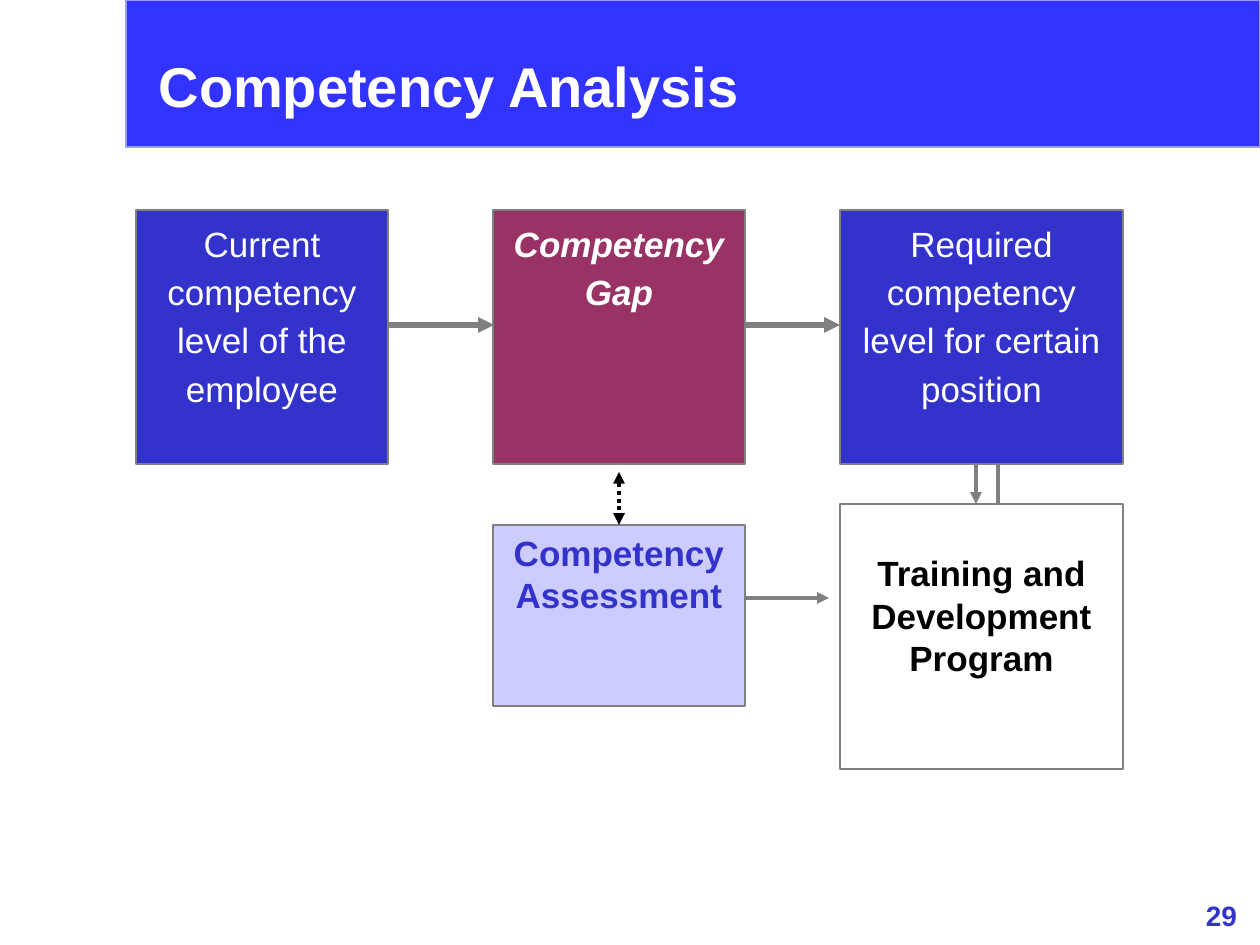
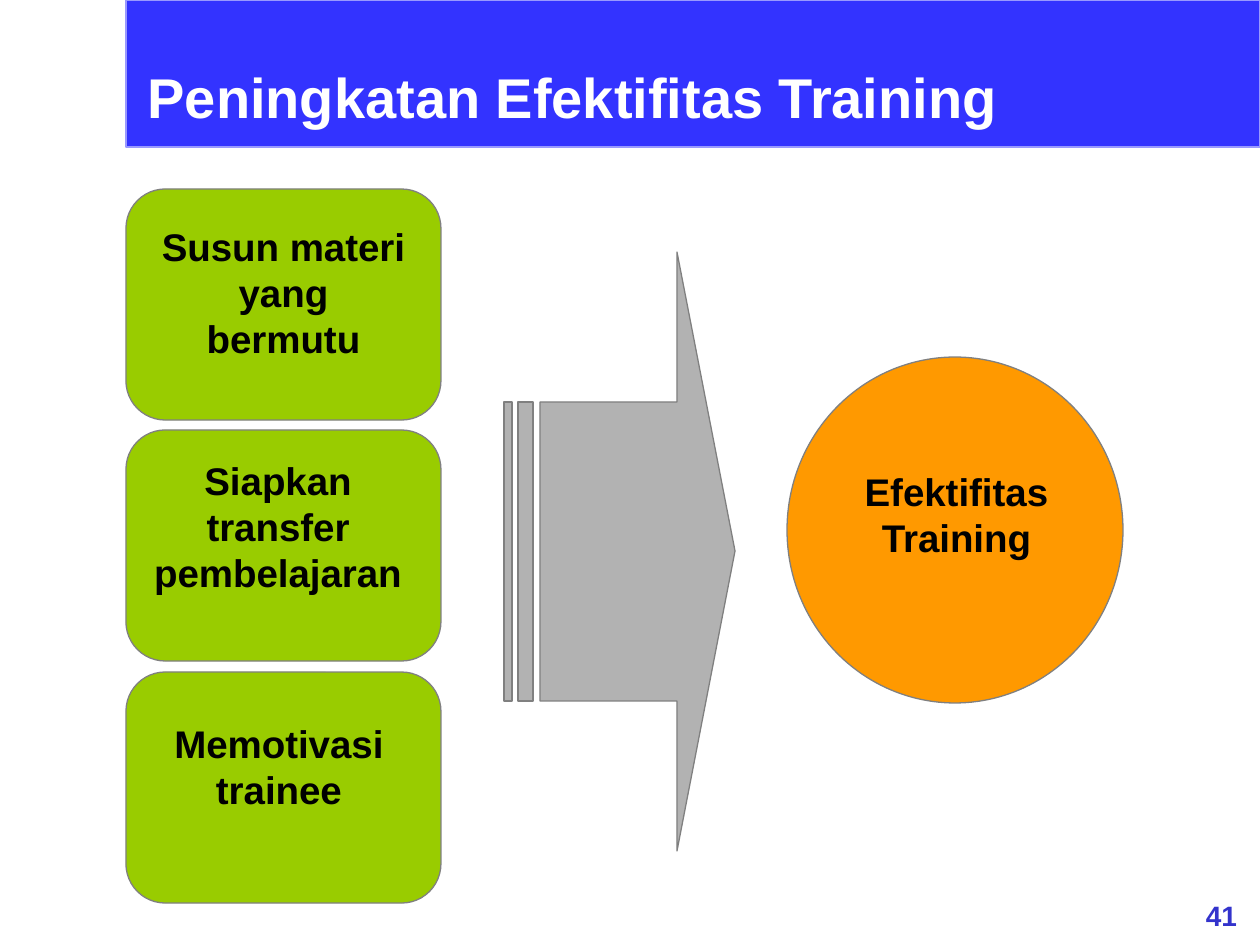
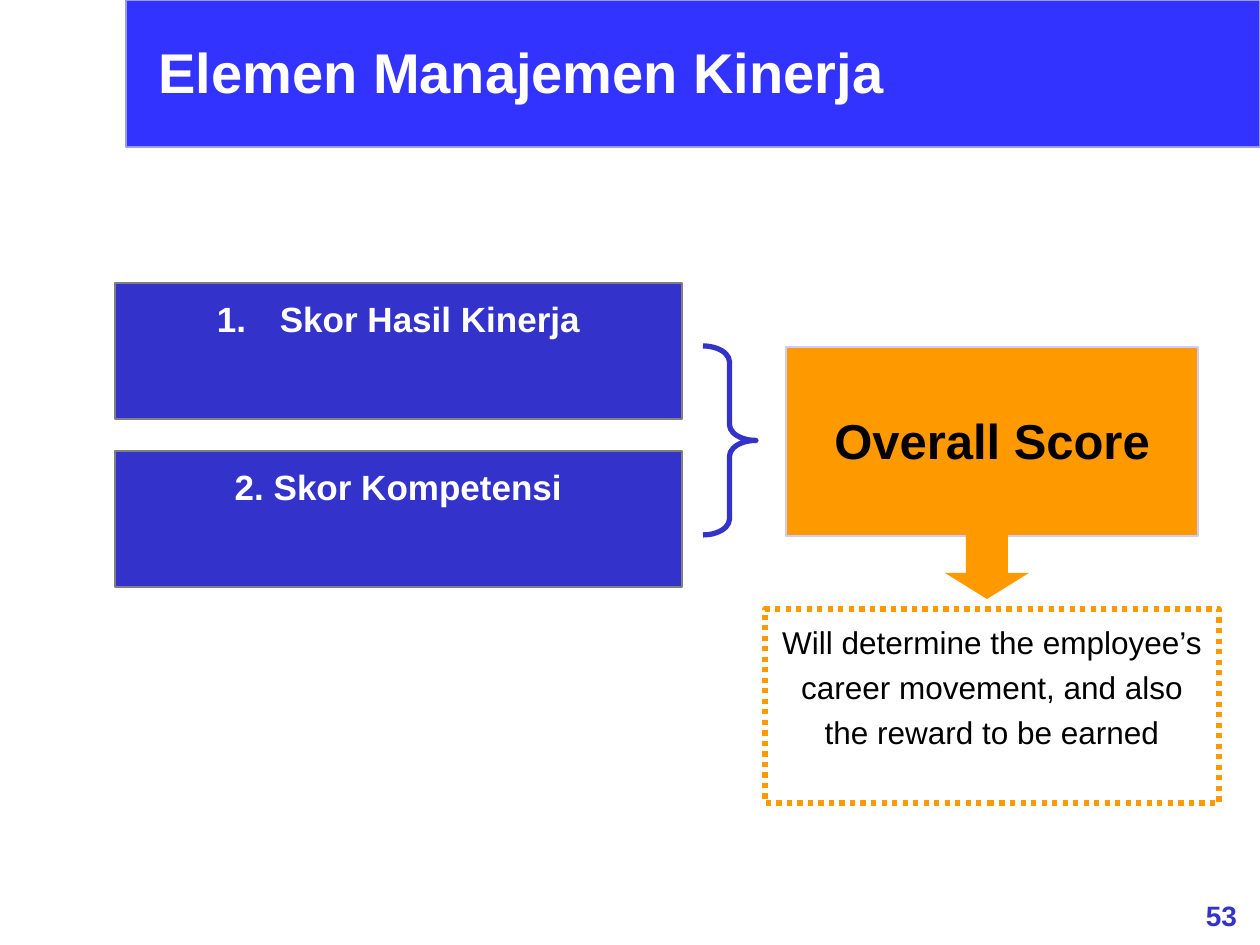
from lxml.etree import SubElement
from pptx import Presentation
from pptx.dml.color import RGBColor
from pptx.enum.dml import MSO_LINE
from pptx.enum.shapes import MSO_CONNECTOR, MSO_SHAPE
from pptx.enum.text import MSO_ANCHOR, MSO_AUTO_SIZE, PP_ALIGN
from pptx.oxml.ns import qn
from pptx.util import Inches, Pt

PX_PER_INCH = 126
SCALE = Inches(1) / PX_PER_INCH

WHITE = RGBColor(0xFF, 0xFF, 0xFF)
BLACK = RGBColor(0x00, 0x00, 0x00)
GRAY = RGBColor(0x80, 0x80, 0x80)
SILVER = RGBColor(0xB2, 0xB2, 0xB2)
BAND_BLUE = RGBColor(0x33, 0x33, 0xFF)
BAND_EDGE = RGBColor(0x99, 0x99, 0xFF)
INDIGO = RGBColor(0x33, 0x33, 0xCC)
LILAC = RGBColor(0xCC, 0xCC, 0xFF)
PLUM = RGBColor(0x99, 0x33, 0x66)
GREEN = RGBColor(0x99, 0xCC, 0x00)
ORANGE = RGBColor(0xFF, 0x99, 0x00)

FONT = "Arial"
BODY = dict(size=Pt(20), color=WHITE)
BOLD = dict(BODY, bold=True)
LABEL = dict(size=Pt(22), color=BLACK, bold=True)
TITLE = dict(size=Pt(32), color=WHITE, bold=True)
NUMBER = dict(size=Pt(16), color=INDIGO, bold=True)


def px(*lengths):
    return [round(n * SCALE) for n in lengths]


# Shared helpers
def write(sp, paragraphs, fmt, align=PP_ALIGN.CENTER, spacing=1.0, top=6):
    tf = sp.text_frame
    tf.word_wrap = True
    tf.auto_size = MSO_AUTO_SIZE.NONE
    tf.vertical_anchor = MSO_ANCHOR.TOP
    tf.margin_top = px(top)[0]
    for i, text in enumerate(paragraphs):
        p = tf.add_paragraph() if i else tf.paragraphs[0]
        p.alignment, p.line_spacing = align, spacing
        r = p.add_run()
        r.text = text
        r.font.name = FONT
        for name, value in fmt.items():
            if name == "color":
                r.font.color.rgb = value
            else:
                setattr(r.font, name, value)
    return tf


def paint(sp, fill=None, line=GRAY, width=0.75):
    sp.shadow.inherit = False
    if fill is None:
        sp.fill.background()
    else:
        sp.fill.solid()
        sp.fill.fore_color.rgb = fill
    if line is None:
        sp.line.fill.background()
    else:
        sp.line.color.rgb = line
        sp.line.width = Pt(width)
    return sp


def shape(s, kind, box, fill=None, line=GRAY, width=0.75):
    return paint(s.shapes.add_shape(kind, *px(*box)), fill, line, width)


def label(s, box, text, fmt):
    write(s.shapes.add_textbox(*px(*box)), [text], fmt)


def arrow(s, start, end, color=GRAY, width=2.25, dash=None, ends=("tailEnd",)):
    c = s.shapes.add_connector(MSO_CONNECTOR.STRAIGHT, *px(*start, *end))
    c.line.color.rgb = color
    c.line.width = Pt(width)
    if dash:
        c.line.dash_style = dash
    for name in ends:
        SubElement(c.get_or_add_ln(), qn(f"a:{name}"), type="triangle")
    SubElement(c.element.spPr, qn("a:effectLst"))
    return c


def number_bullet(p, color):
    pPr = p._p.get_or_add_pPr()
    pPr.set("marL", str(Inches(0.5)))
    pPr.set("indent", str(-Inches(0.5)))
    clr = SubElement(pPr, qn("a:buClr"))
    SubElement(clr, qn("a:srgbClr"), val=str(color))
    SubElement(pPr, qn("a:buAutoNum"), type="arabicPeriod")


def titled_slide(prs, title, x, y, number):
    s = prs.slides.add_slide(prs.slide_layouts[5])
    sp = s.shapes.title
    # The title box runs to the right edge of the band
    sp.left, sp.top, sp.width, sp.height = px(x, y, 1260 - x, 81)
    write(sp, [title], TITLE, PP_ALIGN.LEFT)
    # Band behind the title
    band = shape(s, MSO_SHAPE.RECTANGLE, (126, 0, 1134, 147), BAND_BLUE, BAND_EDGE)
    sp.element.addprevious(band.element)
    label(s, (1183, 892, 77, 47), number, NUMBER)
    return s


# Competency flow
def competency_flow(s, x, y):
    # Arrows lie under the boxes they touch
    for dx in (242, 588):
        arrow(s, (x + dx, y + 115), (x + dx + 116, y + 115), width=3)
    arrow(s, (x + 578, y + 388), (x + 693, y + 388))
    arrow(s, (x + 840, y + 231), (x + 840, y + 294))
    arrow(s, (x + 862, y + 294), (x + 862, y + 231))

    bold_italic = dict(BOLD, italic=True)
    boxes = [
        ((0, 0, 252, 254), INDIGO, BODY, 1.15, 6,
         ["Current competency level of the employee"]),
        ((357, 0, 252, 254), PLUM, bold_italic, 1.15, 6, ["Competency Gap"]),
        ((704, 0, 283, 254), INDIGO, BODY, 1.15, 6,
         ["Required competency", "level for certain position"]),
        ((704, 294, 283, 265), WHITE, dict(BOLD, color=BLACK), 1.0, 48,
         ["Training and Development Program"]),
        ((357, 315, 252, 181), LILAC, dict(BOLD, color=INDIGO), 1.0, 6,
         ["Competency Assessment"]),
    ]
    for (dx, dy, w, h), fill, fmt, spacing, top, text in boxes:
        sp = shape(s, MSO_SHAPE.RECTANGLE, (x + dx, y + dy, w, h), fill)
        write(sp, text, fmt, spacing=spacing, top=top)

    # Two-way link between the gap and its assessment, the last box
    link = arrow(s, (x + 483, y + 262), (x + 483, y + 315), BLACK,
                 dash=MSO_LINE.ROUND_DOT, ends=("headEnd", "tailEnd"))
    link.end_connect(sp, 0)


# Training effectiveness
def training_steps(s, x, y):
    steps = [
        ("Susun materi yang bermutu", (21, 28, 273, 151)),
        ("Siapkan transfer pembelajaran", (10, 21, 284, 151)),
        ("Memotivasi trainee", (32, 42, 242, 106)),
    ]
    for i, (text, (dx, dy, w, h)) in enumerate(steps):
        top = y + i * 483 // 2
        sp = shape(s, MSO_SHAPE.ROUNDED_RECTANGLE, (x, top, 315, 231), GREEN)
        sp.adjustments[0] = 0.17
        label(s, (x + dx, top + dy, w, h), text, LABEL)


def striped_arrow(s, x, y):
    head = [(173, 0), (173, 150), (36, 150), (36, 449),
            (173, 449), (173, 599), (231, 299)]
    stripes = [[(a, 150), (a, 449), (b, 449), (b, 150)]
               for a, b in ((14, 29), (0, 8))]
    fb = s.shapes.build_freeform(*head[0], scale=SCALE)
    fb.add_line_segments(head[1:], close=True)
    for stripe in stripes:
        fb.move_to(*stripe[0])
        fb.add_line_segments(stripe[1:], close=True)
    paint(fb.convert_to_shape(*px(x, y)), SILVER)


def training_result(s, x, y):
    shape(s, MSO_SHAPE.OVAL, (x, y, 336, 346), ORANGE)
    label(s, (x + 32, y + 105, 275, 106), "Efektifitas Training", LABEL)


# Performance elements
def score_parts(s, x, y):
    for i, text in enumerate(["Skor Hasil Kinerja", "2. Skor Kompetensi"]):
        sp = shape(s, MSO_SHAPE.RECTANGLE, (x, y + i * 168, 567, 136), INDIGO)
        tf = write(sp, [text], BOLD, spacing=1.2)
        if i == 0:
            number_bullet(tf.paragraphs[0], WHITE)
    brace = shape(s, MSO_SHAPE.RIGHT_BRACE, (x + 588, y + 63, 53, 189),
                  line=INDIGO, width=3)
    brace.adjustments[0] = 0.3


def overall_score(s, x, y):
    sp = shape(s, MSO_SHAPE.RECTANGLE, (x + 21, y, 412, 189), ORANGE, LILAC)
    write(sp, ["Overall Score"], dict(LABEL, size=Pt(28)), top=64)
    down = shape(s, MSO_SHAPE.DOWN_ARROW, (x + 180, y + 147, 84, 105),
                 ORANGE, None)
    down.adjustments[1] = 0.31
    note = shape(s, MSO_SHAPE.RECTANGLE, (x, y + 262, 454, 194),
                 line=ORANGE, width=3)
    note.line.dash_style = MSO_LINE.ROUND_DOT
    text = ("Will determine the employee’s career movement, "
            "and also the reward to be earned")
    write(note, [text], dict(size=Pt(18), color=BLACK), spacing=1.2)


def main():
    prs = Presentation()
    prs.slide_width, prs.slide_height = px(1260, 945)

    s = titled_slide(prs, "Competency Analysis", 146, 46, "29")
    competency_flow(s, 136, 210)

    s = titled_slide(prs, "Peningkatan Efektifitas Training", 135, 56, "41")
    training_steps(s, 126, 189)
    striped_arrow(s, 504, 252)
    training_result(s, 787, 357)

    s = titled_slide(prs, "Elemen Manajemen Kinerja", 146, 31, "53")
    score_parts(s, 115, 283)
    overall_score(s, 765, 347)

    prs.save("out.pptx")


if __name__ == "__main__":
    main()
